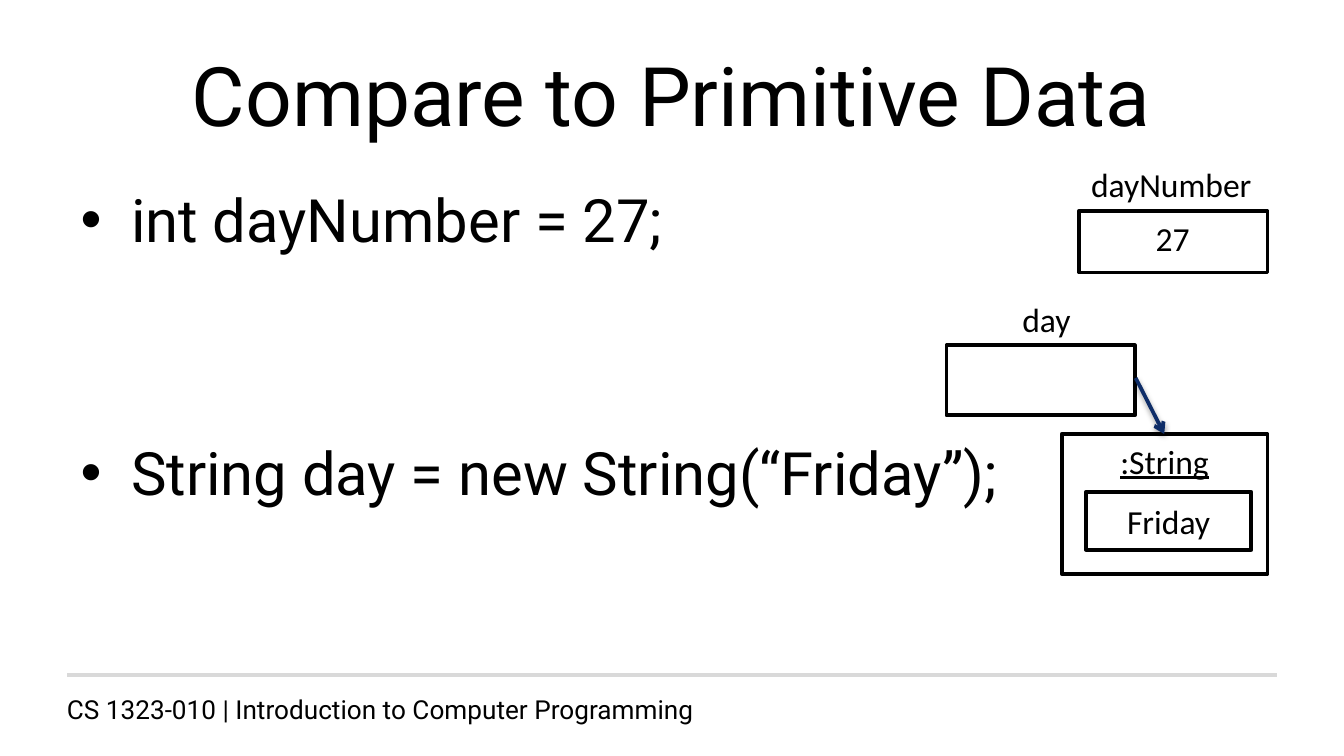
from lxml import etree
from pptx import Presentation
from pptx.dml.color import RGBColor
from pptx.enum.shapes import MSO_CONNECTOR, MSO_SHAPE
from pptx.enum.text import MSO_ANCHOR, MSO_AUTO_SIZE, PP_ALIGN
from pptx.oxml import parse_xml
from pptx.oxml.ns import qn
from pptx.util import Pt

LEFT, MID = PP_ALIGN.LEFT, PP_ALIGN.CENTER
TOP, CENTER = MSO_ANCHOR.TOP, MSO_ANCHOR.MIDDLE
LINE, RECT = MSO_CONNECTOR.STRAIGHT, MSO_SHAPE.RECTANGLE

TITLE = "Compare to Primitive Data"
CODE = [("int dayNumber = 27;", 0), ("String day = new String(“Friday”);", 97)]
FOOT = "CS 1323-010 | Introduction to Computer Programming"
BOXES = [
    ("", (578, 113, 101, 33), TOP, False),
    ("", (507, 185, 101, 37.5), TOP, False),
    (":String", (568.8, 232.5, 110.2, 75), TOP, True),
    ("Friday", (581.8, 263.5, 88.6, 31), CENTER, False),
]
LABELS = [
    ("dayNumber", (577.4, 84.3, 101.5, 29)),
    ("27", (612, 113, 33, 29)),
    ("day", (540.6, 156.5, 41, 29)),
]
RULE = (36, 361.5, 684, 361.5)
ARROW = (608.4, 202.5, 623.7, 232.5)

THEME = {
    "ink": RGBColor(0, 0, 0),
    "paper": RGBColor(255, 255, 255),
    "rule": RGBColor(0xD9, 0xD9, 0xD9),
    "arrow": RGBColor(0x0E, 0x2D, 0x68),
    "title": {"name": "Roboto", "size": Pt(44)},
    "code": {"name": "Roboto", "size": Pt(32)},
    "foot": {"name": "Roboto", "size": Pt(14)},
    "note": {"name": "Calibri", "size": Pt(18)},
}
NS = 'xmlns:a="http://schemas.openxmlformats.org/drawingml/2006/main"'
SHADE = (
    f'<a:effectLst {NS}><a:outerShdw blurRad="{Pt(3.1)}" dist="{Pt(1.6)}" '
    'dir="5400000" rotWithShape="0"><a:srgbClr val="000000">'
    '<a:alpha val="38000"/></a:srgbClr></a:outerShdw></a:effectLst>'
)
PLAIN = f"<a:effectLst {NS}/>"


def place(shape, area):
    for key, val in zip(("left", "top", "width", "height"), area):
        setattr(shape, key, Pt(val))


def write(shape, items, style, align=LEFT, anchor=TOP, wrap=True, under=False):
    frame = shape.text_frame
    look = {"word_wrap": wrap, "auto_size": MSO_AUTO_SIZE.NONE,
            "vertical_anchor": anchor}
    for key, val in look.items():
        setattr(frame, key, val)
    for i, (text, gap) in enumerate(items):
        para = frame.add_paragraph() if i else frame.paragraphs[0]
        para.alignment, para.space_before = align, Pt(gap)
        run = para.add_run()
        run.text = text
        for key, val in {**THEME[style], "underline": under}.items():
            setattr(run.font, key, val)
        run.font.color.rgb = THEME["ink"]
    return frame


def join(ends, color, effect):
    line = slide.shapes.add_connector(LINE, *map(Pt, ends))
    line.line.color.rgb, line.line.width = THEME[color], Pt(2)
    line._element.spPr.append(parse_xml(effect))
    return line


deck = Presentation()
deck.slide_width, deck.slide_height = Pt(720), Pt(405)
slide = deck.slides.add_slide(deck.slide_layouts[1])

foot = slide.shapes.add_textbox(Pt(28.8), Pt(368), Pt(648), Pt(15))
write(foot, [(FOOT, 0)], "foot")
join(RULE, "rule", PLAIN)

title, body = slide.placeholders
place(title, (36, 16.5, 648, 67.7))
write(title, [(TITLE, 0)], "title", MID, CENTER)
place(body, (36, 94.5, 648, 267))
for para in write(body, CODE, "code").paragraphs:
    props = para._p.get_or_add_pPr()
    props.set("marL", str(Pt(27)))
    props.set("indent", str(Pt(-27)))
    etree.SubElement(props, qn("a:buChar")).set("char", "•")

for text, area, anchor, under in BOXES:
    box = slide.shapes.add_shape(RECT, *map(Pt, area))
    box.shadow.inherit = False
    box.fill.solid()
    box.fill.fore_color.rgb = THEME["paper"]
    box.line.color.rgb, box.line.width = THEME["ink"], Pt(2)
    if text:
        write(box, [(text, 0)], "note", MID, anchor, under=under)

for text, area in LABELS:
    label = slide.shapes.add_textbox(*map(Pt, area))
    write(label, [(text, 0)], "note", wrap=False)

arrow = join(ARROW, "arrow", SHADE)
tail = etree.SubElement(arrow.line._get_or_add_ln(), qn("a:tailEnd"))
tail.set("type", "arrow")

deck.save("out.pptx")
